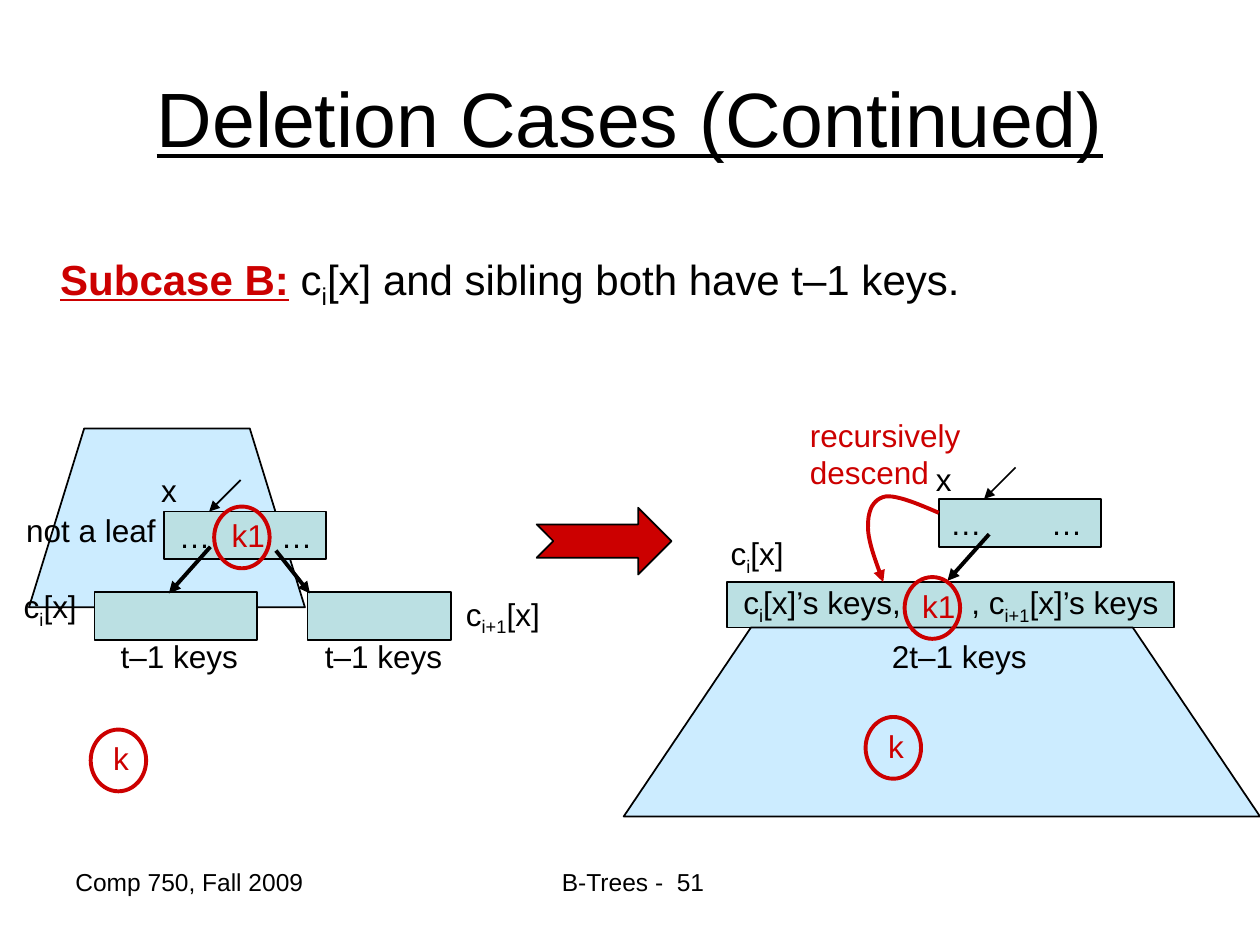
from dataclasses import dataclass

from lxml import etree
from pptx import Presentation
from pptx import util as u
from pptx.dml.color import RGBColor
from pptx.enum import shapes, text
from pptx.oxml.ns import qn

Inches = u.Inches
Shape = shapes.MSO_SHAPE


@dataclass(frozen=True)
class Theme:
    font: str = "Arial"
    black: str = "000000"
    red: str = "CC0000"
    node: str = "BBE0E3"
    subtree: str = "CCECFF"
    title: int = 44
    body: int = 24
    label: int = 18
    footer: int = 14
    thin: float = 1
    thick: float = 2.25


THEME = Theme()
CHILD = ["c", ("i", "sub"), "[x]"]
NEXT_CHILD = ["c", ("i+1", "sub"), "[x]"]


# ---- Text ----
def write(para, parts, size, color):
    """Fill a paragraph from plain strings and (string, style) pairs."""
    for part in parts:
        words, style = part if isinstance(part, tuple) else (part, "")
        span = para.add_run()
        span.text = words
        span.font.name, span.font.size = THEME.font, u.Pt(size)
        span.font.color.rgb = RGBColor.from_string(THEME.red if style == "key" else color)
        if style == "sub":
            span.font._element.set("baseline", "-25000")
        if style in ("key", "title"):
            span.font.underline = True
        span.font.bold = style == "key"


def add_text(page, left, top, width, height, *lines, size=THEME.label,
             color=THEME.black, align=text.PP_ALIGN.LEFT, anchor=text.MSO_ANCHOR.TOP):
    box = page.shapes.add_textbox(Inches(left), Inches(top), Inches(width), Inches(height))
    frame = box.text_frame
    frame.word_wrap, frame.vertical_anchor = True, anchor
    for index, parts in enumerate(lines):
        para = frame.add_paragraph() if index else frame.paragraphs[0]
        para.alignment = align
        write(para, parts, size, color)


# ---- Shapes and lines ----
def paint(shape, fill=None, line=THEME.black, weight=THEME.thin):
    shape.shadow.inherit = False
    if fill:
        shape.fill.solid()
        shape.fill.fore_color.rgb = RGBColor.from_string(fill)
    else:
        shape.fill.background()
    shape.line.color.rgb = RGBColor.from_string(line)
    shape.line.width = u.Pt(weight)


def add_shape(page, kind, left, top, width, height, **style):
    shape = page.shapes.add_shape(kind, Inches(left), Inches(top), Inches(width), Inches(height))
    paint(shape, **style)
    return shape


def add_subtree(page, left, top, width, height):
    shape = add_shape(page, Shape.FLOWCHART_MANUAL_OPERATION, left, top, width, height,
                      fill=THEME.subtree)
    shape.rotation = 180


def add_node(page, left, top, width, height, parts=(), tab=None, inset=0.12):
    """A B-tree node; the tab stop leaves room for a circled key."""
    node = add_shape(page, Shape.RECTANGLE, left, top, width, height, fill=THEME.node)
    if not parts:
        return
    frame = node.text_frame
    frame.word_wrap, frame.vertical_anchor = True, text.MSO_ANCHOR.MIDDLE
    frame.margin_left, frame.margin_right = Inches(inset), 0
    para = frame.paragraphs[0]
    para.alignment = text.PP_ALIGN.LEFT
    stops = etree.SubElement(para._p.get_or_add_pPr(), qn("a:tabLst"))
    etree.SubElement(stops, qn("a:tab"), pos=str(Inches(tab)), algn="l")
    write(para, parts, THEME.label, THEME.black)


def add_key(page, left, top, name):
    """A red key name inside a red circle."""
    indent = 0.08 if name == "k" else 0.04
    add_text(page, left + indent, top + 0.03, 0.65, 0.4, [name], color=THEME.red)
    add_shape(page, Shape.OVAL, left, top, 0.44, 0.49, line=THEME.red, weight=THEME.thick)


def add_head(shape):
    etree.SubElement(shape.line._get_or_add_ln(), qn("a:tailEnd"), type="triangle")


def add_arrow(page, x1, y1, x2, y2, weight=THEME.thick):
    arrow = page.shapes.add_connector(shapes.MSO_CONNECTOR.STRAIGHT, Inches(x1), Inches(y1),
                                      Inches(x2), Inches(y2))
    arrow.line.color.rgb = RGBColor.from_string(THEME.black)
    arrow.line.width = u.Pt(weight)
    add_head(arrow)
    etree.SubElement(arrow._element.spPr, qn("a:effectLst"))


def add_curve(page, start, *segments, steps=12):
    """A red arrow along cubic Bezier segments."""
    points, origin = [], start
    for bend1, bend2, end in segments:
        for step in range(1, steps + 1):
            t = step / steps
            weights = ((1 - t) ** 3, 3 * t * (1 - t) ** 2, 3 * t * t * (1 - t), t ** 3)
            corners = (origin, bend1, bend2, end)
            points.append(tuple(Inches(sum(w * c[axis] for w, c in zip(weights, corners)))
                                for axis in (0, 1)))
        origin = end
    builder = page.shapes.build_freeform(Inches(start[0]), Inches(start[1]))
    builder.add_line_segments(points, close=False)
    curve = builder.convert_to_shape()
    paint(curve, line=THEME.red, weight=THEME.thick)
    add_head(curve)


# ---- Regions ----
def add_heading(page, left, top):
    add_text(page, left, top, 9, 1.25, [("Deletion Cases (Continued)", "title")],
             size=THEME.title, align=text.PP_ALIGN.CENTER, anchor=text.MSO_ANCHOR.MIDDLE)
    add_text(page, left - 0.12, top + 1.66, 7.6, 0.5,
             [("Subcase B:", "key"), " c", ("i", "sub"), "[x] and sibling both have t–1 keys."],
             size=THEME.body)


def add_footer(page, left, top):
    add_text(page, left, top, 2.33, 0.52, ["Comp 750, Fall 2009"], size=THEME.footer)
    add_text(page, left + 2.94, top, 3.17, 0.52, ["B-Trees -  51"], size=THEME.footer,
             align=text.PP_ALIGN.CENTER)


def add_before(page, left, top):
    """Node x with two minimal children."""
    add_subtree(page, left + 0.23, top, 2.19, 1.42)
    add_node(page, left + 1.3, top + 0.66, 1.29, 0.38, ["…\t…"], tab=0.81)
    add_arrow(page, left + 1.91, top + 0.41, left + 1.66, top + 0.66, THEME.thin)
    add_text(page, left + 0.11, top + 0.61, 1.4, 0.4, ["not a leaf"])
    add_text(page, left + 1.18, top + 0.29, 0.5, 0.4, ["x"])
    for child, width, label in ((0.75, 1.29, 0.86), (2.44, 1.14, 2.48)):
        add_node(page, left + child, top + 1.3, width, 0.38)
        add_text(page, left + label, top + 1.61, 1.3, 0.4, ["t–1 keys"])
    add_arrow(page, left + 1.67, top + 0.94, left + 1.34, top + 1.31)
    add_arrow(page, left + 2.19, top + 0.97, left + 2.46, top + 1.31)
    add_text(page, left + 0.09, top + 1.21, 0.8, 0.44, CHILD)
    add_text(page, left + 3.6, top + 1.27, 1, 0.44, NEXT_CHILD)
    add_key(page, left + 0.72, top + 2.39, "k")
    add_key(page, left + 1.7, top + 0.62, "k1")


def add_after(page, left, top):
    """Merged child below node x, with the recursive descent."""
    add_node(page, left + 2.5, top + 0.71, 1.29, 0.38, ["…\t…"], tab=0.8, inset=0.09)
    add_arrow(page, left + 3.11, top + 0.46, left + 2.86, top + 0.71, THEME.thin)
    add_node(page, left + 0.82, top + 1.37, 3.55, 0.36,
             [*CHILD, "’s keys,\t, ", *NEXT_CHILD, "’s keys"], tab=1.81, inset=0.13)
    add_arrow(page, left + 2.9, top + 0.99, left + 2.57, top + 1.36)
    add_text(page, left + 0.75, top + 0.94, 0.8, 0.44, CHILD)
    add_subtree(page, left, top + 1.73, 5.05, 1.5)
    add_text(page, left + 2.03, top + 1.76, 1.5, 0.4, ["2t–1 keys"])
    add_key(page, left + 1.92, top + 2.44, "k")
    add_text(page, left + 2.38, top + 0.35, 0.5, 0.4, ["x"])
    add_key(page, left + 2.23, top + 1.33, "k1")
    bends = [(2.5, 0.82), (2.34, 0.75), (2.17, 0.68), (2.08, 0.69), (1.98, 0.71),
             (1.94, 0.8), (1.94, 0.91), (1.93, 1.03), (2, 1.2), (2.06, 1.37)]
    start, *rest = [(left + x, top + y) for x, y in bends]
    add_curve(page, start, rest[:3], rest[3:6], rest[6:])
    add_text(page, left + 1.38, top, 1.6, 0.7, ["recursively"], ["descend"], color=THEME.red)


def main():
    deck = Presentation()
    deck.slide_width, deck.slide_height = Inches(10), Inches(7.5)
    page = deck.slides.add_slide(deck.slide_layouts[6])
    add_footer(page, 0.5, 6.83)
    add_heading(page, 0.5, 0.3)
    add_before(page, 0, 3.4)
    add_shape(page, Shape.NOTCHED_RIGHT_ARROW, 4.26, 4.03, 1.07, 0.53, fill=THEME.red)
    add_after(page, 4.95, 3.25)
    deck.save("out.pptx")


if __name__ == "__main__":
    main()
